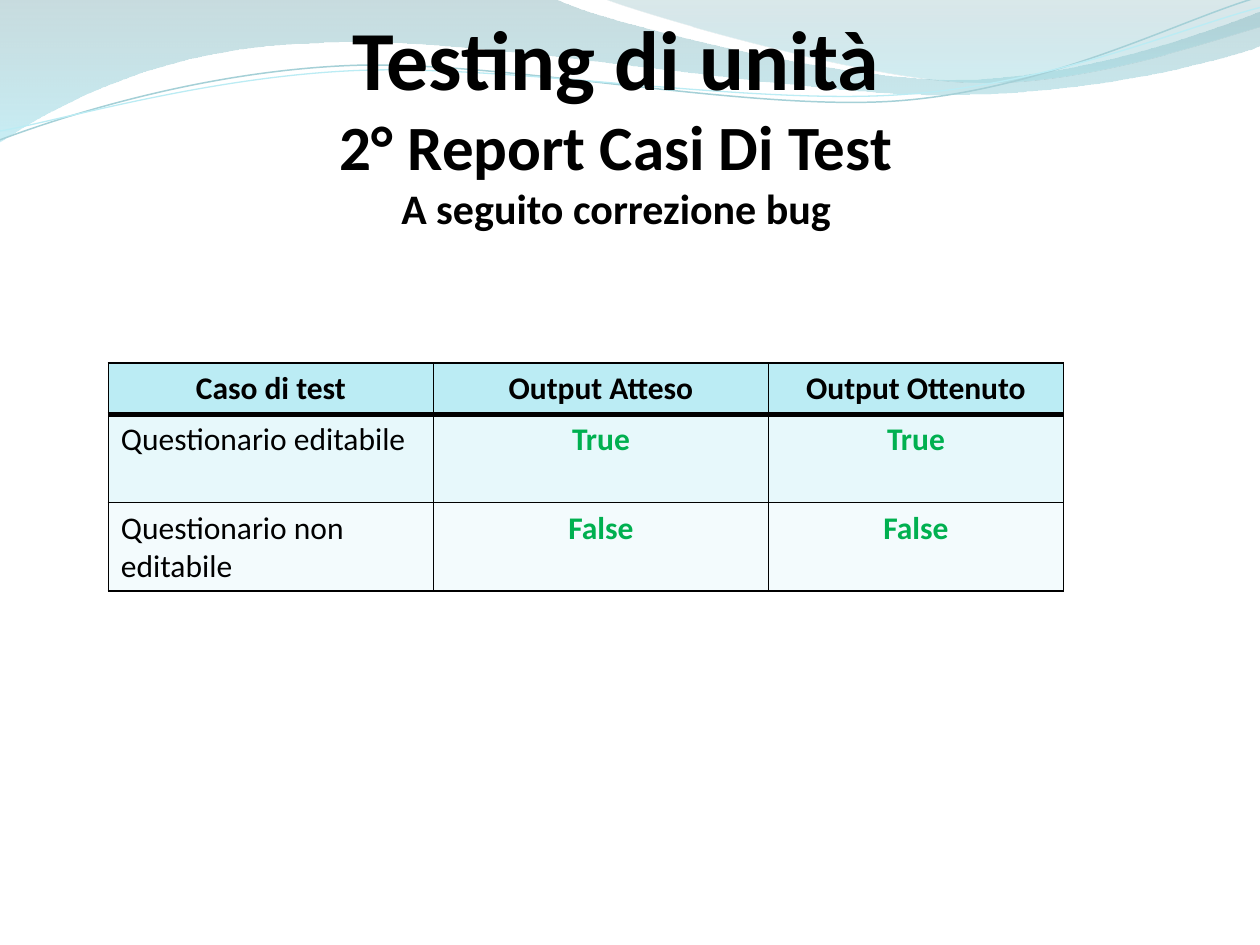
from math import cos, radians, sin
from lxml.etree import SubElement
from pptx import Presentation
from pptx.dml.color import RGBColor
from pptx.enum.text import MSO_ANCHOR, MSO_AUTO_SIZE, PP_ALIGN
from pptx.oxml.ns import qn
from pptx.util import Inches, Pt

TILT = 2.7  # degrees the thin curves lean to the left


def color(text):
    return RGBColor.from_string(text)


def add_run(para, text, size, bold, ink="000000"):
    run = para.add_run()
    run.text = text
    font = run.font
    font.name, font.size, font.bold = "Calibri", Pt(size), bold
    font.color.rgb = color(ink)


def add_form(slide, dots, sizes, close):
    """Outline whose parts use one dot (line) or three dots (cubic curve)."""
    spots = [(Inches(x), Inches(y)) for x, y in dots]
    form = slide.shapes.build_freeform(*spots[0], scale=1.0)
    form.add_line_segments(spots[1:], close=close)
    shape = form.convert_to_shape()
    shape.shadow.inherit = False
    lines = iter(list(shape.element.iter(qn("a:lnTo"))))
    for size in sizes:
        first = next(lines)
        if size == 3:
            first.tag = qn("a:cubicBezTo")
            for _ in range(2):
                line = next(lines)
                first.append(line[0])
                line.getparent().remove(line)
    return shape


def add_wave(slide, box, dots, sizes, stops):
    left, top = box
    dots = [(left + x, top + y) for x, y in dots]
    shape = add_form(slide, dots, sizes, True)
    shape.line.fill.background()
    shape.fill.gradient()
    shape.fill.gradient_angle = 270
    marks = shape.element.spPr.iter(qn("a:gs"))
    for stop, mark, look in zip(shape.fill.gradient_stops, marks, stops):
        place, tone, alpha = look
        stop.position = place
        stop.color.rgb = color(tone)
        SubElement(mark[0], qn("a:alpha"), val=str(alpha * 1000))


def add_curve(slide, box, dots, mid, tone, width):
    """Thin curve, laid level about its middle and then tilted."""
    left, top = box
    turn = radians(TILT)
    level = []
    for x, y in dots:
        dx, dy = x - mid[0], y - mid[1]
        level.append((left + mid[0] + dx * cos(turn) - dy * sin(turn),
                      top + mid[1] + dx * sin(turn) + dy * cos(turn)))
    shape = add_form(slide, level, (3, 3, 3), False)
    shape.rotation = 360 - TILT
    shape.fill.background()
    shape.line.color.rgb = color(tone)
    shape.line.width = Pt(width)


def add_header(slide, box):
    # Wide wave
    add_wave(slide, box, [
        (0, 0), (4.4, -0.01), (4.76, 0.17), (6.64, 0.63), (7.58, 0.63),
        (8.53, 0.63), (9.58, 0.26), (10, 0.09), (10.01, 0.36),
        (9.83, 0.44), (8.7, 0.76), (7.46, 0.75),
        (6.22, 0.75), (3.82, 0.28), (2.57, 0.34),
        (1.29, 0.36), (0.46, 0.83), (-0.01, 1.13), (0, 0)],
        (1, 3, 3, 1, 3, 3, 3, 1),
        [(0, "86B2B9", 45), (1, "9BE0EC", 55)])
    # Right wave
    add_wave(slide, box, [
        (4.79, -0.01), (5.09, 0.11), (6.82, 0.62), (7.69, 0.65),
        (8.56, 0.69), (9.61, 0.32), (10, 0.21), (10, 0), (4.79, -0.01)],
        (3, 3, 1, 1),
        [(0, "84B3BB", 30), (0.8, "9BD7E1", 45)])
    # Thin curves
    add_curve(slide, box, [
        (0, 1.11), (0.48, 0.93), (1.58, 0.57), (2.77, 0.52),
        (3.95, 0.47), (5.93, 0.89), (7.13, 0.8),
        (8.33, 0.71), (9.38, 0.15), (9.98, -0.02)],
        (4.99, 0.58), "A5D0D7", 0.85)
    add_curve(slide, box, [
        (0, 1.04), (0.47, 0.96), (1.64, 0.61), (2.83, 0.56),
        (4.03, 0.51), (5.97, 0.84), (7.17, 0.75),
        (8.36, 0.67), (9.41, 0.21), (10, 0.06)],
        (5, 0.59), "BBECF4", 0.75)


def add_title(slide, box):
    title = slide.shapes.title
    title.left, title.top, title.width, title.height = map(Inches, box)
    title.element.getparent().append(title.element)  # in front of the waves
    frame = title.text_frame
    frame.word_wrap = True
    frame.auto_size = MSO_AUTO_SIZE.SHAPE_TO_FIT_TEXT
    frame.vertical_anchor = MSO_ANCHOR.TOP
    lines = [("Testing di unità", 48), ("2° Report Casi Di Test", 36),
             ("A seguito correzione bug", 24)]
    for row, (text, size) in enumerate(lines):
        para = frame.add_paragraph() if row else frame.paragraphs[0]
        para.alignment = PP_ALIGN.CENTER
        add_run(para, text, size, True)


def add_edges(cell, widths):
    props = cell._tc.get_or_add_tcPr()
    for side, width in zip("LRTB", widths):
        edge = SubElement(props, qn(f"a:ln{side}"), w=str(Pt(width)))
        fill = SubElement(edge, qn("a:solidFill"))
        SubElement(fill, qn("a:srgbClr"), val="000000")


def add_cases(slide, box):
    rows = [("Caso di test", "Output Atteso", "Output Ottenuto"),
            ("Questionario editabile", "True", "True"),
            ("Questionario non editabile", "False", "False")]
    fills = ["BBECF4", "E7F8FB", "F3FBFD"]
    table = slide.shapes.add_table(3, 3, *map(Inches, box)).table
    for col, width in zip(table.columns, (2.58, 2.66, 2.34)):
        col.width = Inches(width)
    for line, height in zip(table.rows, (0.41, 0.7, 0.7)):
        line.height = Inches(height)
    for r, row in enumerate(rows):
        for c, text in enumerate(row):
            cell = table.cell(r, c)
            add_edges(cell, (1, 1, 3 if r == 1 else 1, 3 if r == 0 else 1))
            cell.fill.solid()
            cell.fill.fore_color.rgb = color(fills[r])
            para = cell.text_frame.paragraphs[0]
            label = r > 0 and c == 0
            para.alignment = PP_ALIGN.LEFT if label else PP_ALIGN.CENTER
            ink = "00B050" if r and c else "000000"
            add_run(para, text, 18, not label, ink)


def main():
    deck = Presentation()
    deck.slide_width, deck.slide_height = Inches(10), Inches(7.5)
    slide = deck.slides.add_slide(deck.slide_layouts[5])
    add_header(slide, (0, 0))
    add_title(slide, (0.67, 0, 8.44, 2.29))
    add_cases(slide, (0.86, 2.88, 7.58, 1.81))
    deck.save("out.pptx")


if __name__ == "__main__":
    main()
